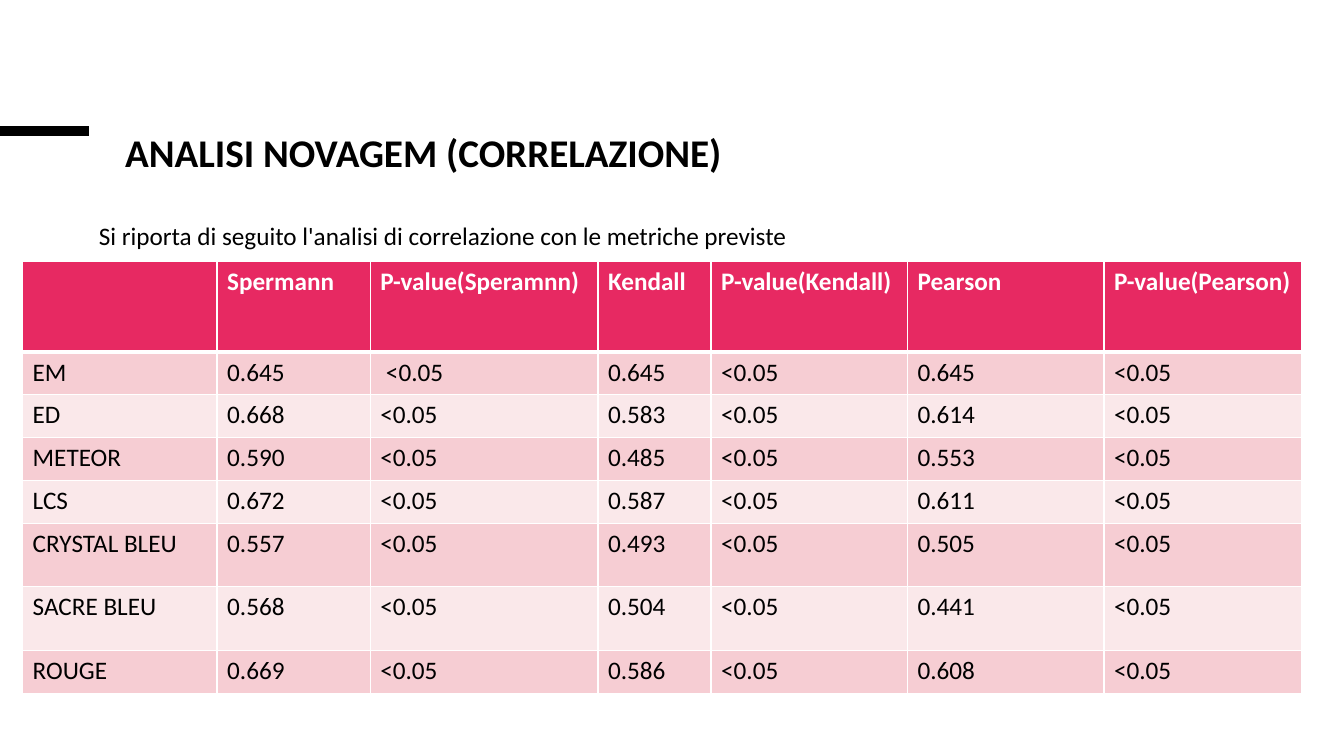
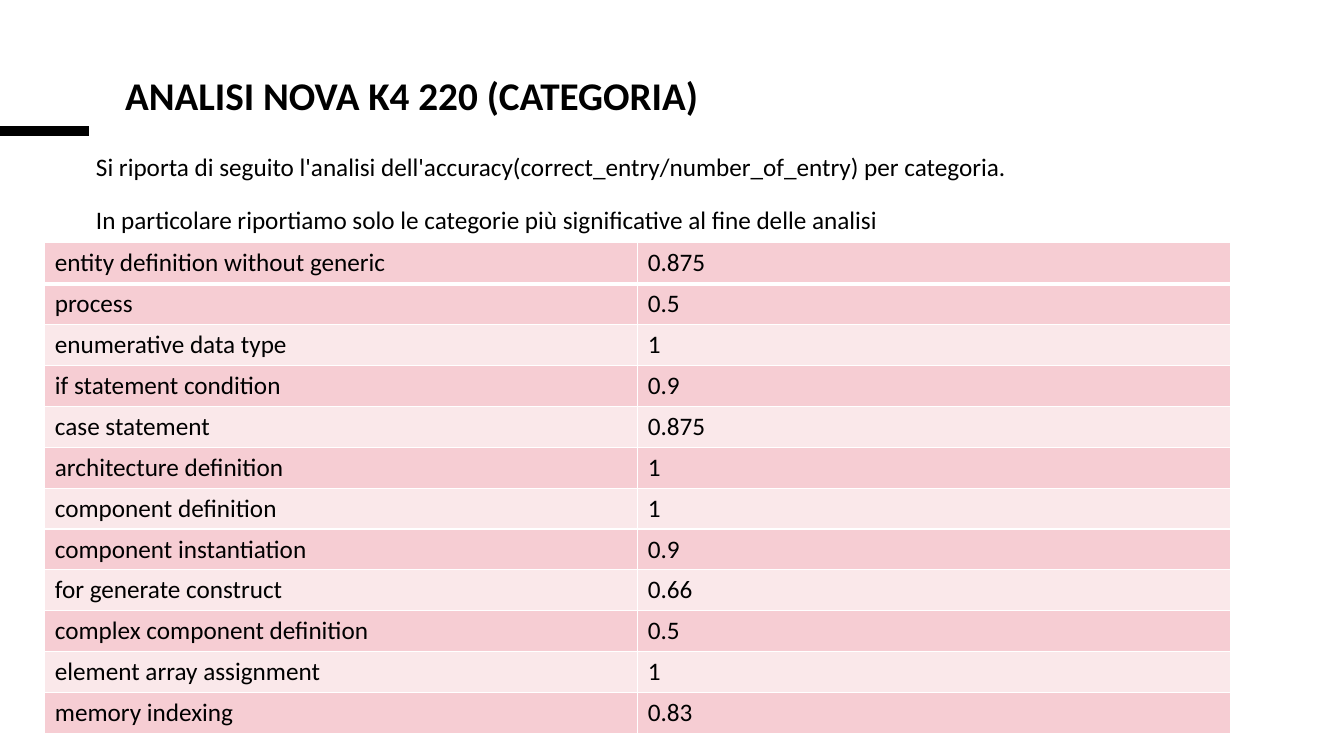
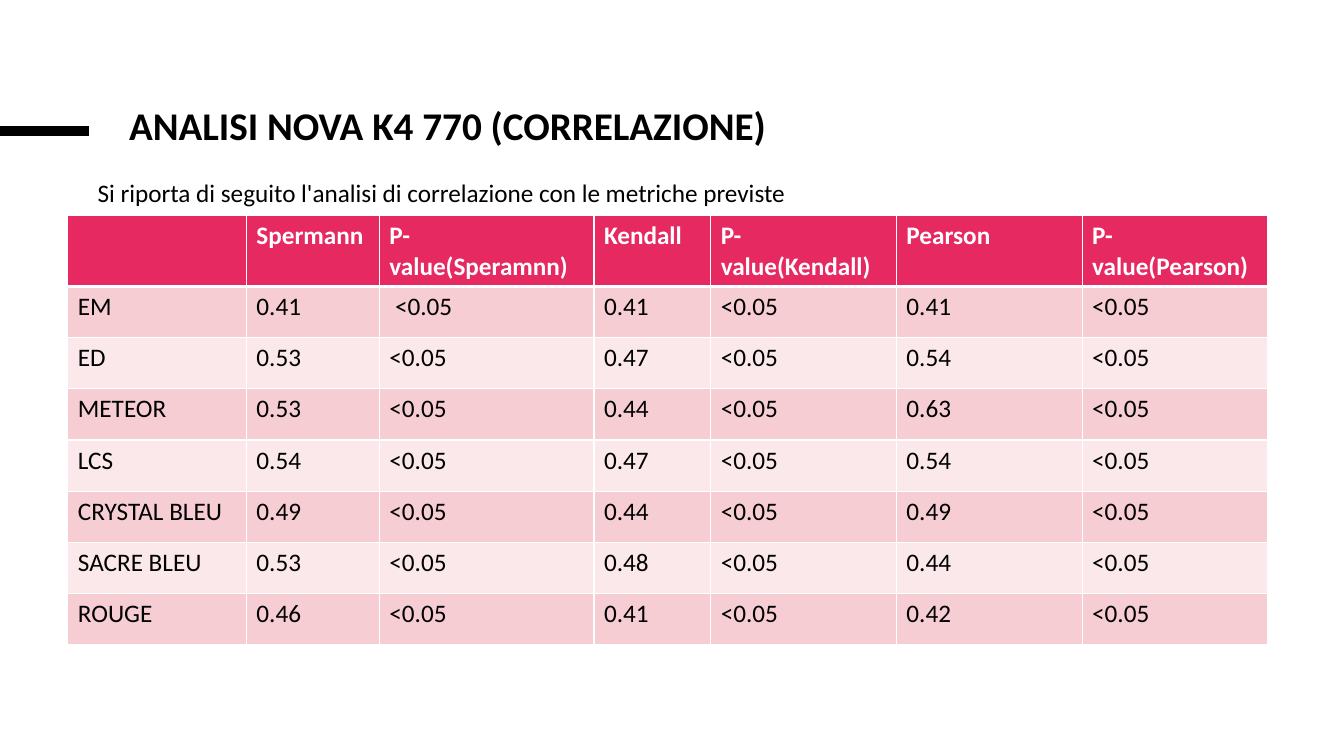
from dataclasses import dataclass

from lxml import etree
from pptx import Presentation
from pptx.dml.color import RGBColor
from pptx.enum.shapes import MSO_CONNECTOR
from pptx.enum.text import MSO_ANCHOR, MSO_AUTO_SIZE, PP_ALIGN
from pptx.oxml.ns import qn
from pptx.presentation import Presentation as Deck
from pptx.slide import Slide
from pptx.table import _Cell as Cell
from pptx.text.text import _Paragraph as Paragraph
from pptx.util import Cm, Pt

STRAIGHT = MSO_CONNECTOR.STRAIGHT
TOP = MSO_ANCHOR.TOP
LEFT = PP_ALIGN.LEFT
NO_AUTOFIT = MSO_AUTO_SIZE.NONE

BLACK = RGBColor(0x00, 0x00, 0x00)
WHITE = RGBColor(0xFF, 0xFF, 0xFF)
CRIMSON = RGBColor(0xE7, 0x29, 0x62)
ROSE = RGBColor(0xF6, 0xCD, 0xD3)
BLUSH = RGBColor(0xFA, 0xE8, 0xEA)

FONT = "Calibri"
TITLE_SIZE = 28
BODY_SIZE = 18
TITLE_ONLY = 5
THIN_BORDER = 1
THICK_BORDER = 3

CORRELATION_HEADER = [
    "", "Spermann", "P-value(Speramnn)", "Kendall",
    "P-value(Kendall)", "Pearson", "P-value(Pearson)",
]
CORRELATION_INTRO = ["Si riporta di seguito l'analisi di correlazione con le metriche previste"]
SIGNIFICANT = "<0.05"


@dataclass(frozen=True)
class TextArea:
    left: float
    top: float
    width: float
    height: float


@dataclass(frozen=True)
class Grid:
    left: float
    top: float
    columns: list[float]
    heights: list[float]
    rows: list[list[str]]
    has_header: bool


@dataclass(frozen=True)
class AnalysisPage:
    title: str
    title_area: TextArea
    intro: list[str]
    intro_area: TextArea
    grid: Grid


@dataclass(frozen=True)
class Metric:
    name: str
    spearman: str
    kendall: str
    pearson: str


def correlation_rows(metrics: list[Metric]) -> list[list[str]]:
    rows = [CORRELATION_HEADER]
    for index, metric in enumerate(metrics):
        first_p_value = " " + SIGNIFICANT if index == 0 else SIGNIFICANT
        rows.append([
            metric.name, metric.spearman, first_p_value, metric.kendall,
            SIGNIFICANT, metric.pearson, SIGNIFICANT,
        ])
    return rows


def add_span(para: Paragraph, text: str, size: float, color: RGBColor, bold: bool = False) -> None:
    span = para.add_run()
    span.text = text
    span.font.name = FONT
    span.font.size = Pt(size)
    span.font.bold = bold
    span.font.color.rgb = color


def add_accent_line(page: Slide) -> None:
    line = page.shapes.add_connector(STRAIGHT, Cm(0), Cm(3.3), Cm(2.24), Cm(3.3))
    line.line.color.rgb = BLACK
    line.line.width = Pt(6.75)
    etree.SubElement(line._element.spPr, qn("a:effectLst"))


def set_title(page: Slide, text: str, area: TextArea) -> None:
    title = page.shapes.title
    title.left, title.top = Cm(area.left), Cm(area.top)
    title.width, title.height = Cm(area.width), Cm(area.height)
    frame = title.text_frame
    frame.word_wrap = True
    frame.auto_size = NO_AUTOFIT
    frame.vertical_anchor = TOP
    para = frame.paragraphs[0]
    para.alignment = LEFT
    para.line_spacing = 0.85
    add_span(para, text, TITLE_SIZE, BLACK, bold=True)


def add_intro(page: Slide, lines: list[str], area: TextArea) -> None:
    box = page.shapes.add_textbox(Cm(area.left), Cm(area.top), Cm(area.width), Cm(area.height))
    frame = box.text_frame
    frame.word_wrap = True
    for index, text in enumerate(lines):
        para = frame.add_paragraph() if index else frame.paragraphs[0]
        para.line_spacing = 1.3
        para.space_before = Pt(10)
        add_span(para, text, BODY_SIZE, BLACK)


def set_borders(cell: Cell, top: float, bottom: float) -> None:
    properties = cell._tc.get_or_add_tcPr()
    widths = {"a:lnL": THIN_BORDER, "a:lnR": THIN_BORDER, "a:lnT": top, "a:lnB": bottom}
    for position, (tag, width) in enumerate(widths.items()):
        border = etree.Element(qn(tag), w=str(Pt(width)))
        fill = etree.SubElement(border, qn("a:solidFill"))
        etree.SubElement(fill, qn("a:srgbClr"), val=str(WHITE))
        properties.insert(position, border)


def add_grid(page: Slide, grid: Grid) -> None:
    frame = page.shapes.add_table(
        len(grid.rows), len(grid.columns), Cm(grid.left), Cm(grid.top),
        Cm(sum(grid.columns)), Cm(sum(grid.heights)),
    )
    table = frame.table
    table.first_row = grid.has_header
    for column, width in zip(table.columns, grid.columns):
        column.width = Cm(width)
    for row_index, (values, height) in enumerate(zip(grid.rows, grid.heights)):
        table.rows[row_index].height = Cm(height)
        is_header = grid.has_header and row_index == 0
        band = ROSE if row_index == 0 or row_index % 2 else BLUSH
        for column_index, value in enumerate(values):
            cell = table.cell(row_index, column_index)
            cell.fill.solid()
            cell.fill.fore_color.rgb = CRIMSON if is_header else band
            set_borders(
                cell,
                top=THICK_BORDER if row_index == 1 else THIN_BORDER,
                bottom=THICK_BORDER if row_index == 0 else THIN_BORDER,
            )
            if value:
                para = cell.text_frame.paragraphs[0]
                add_span(para, value, BODY_SIZE, WHITE if is_header else BLACK, bold=is_header)


def add_analysis(deck: Deck, analysis: AnalysisPage) -> None:
    page = deck.slides.add_slide(deck.slide_layouts[TITLE_ONLY])
    add_accent_line(page)
    set_title(page, analysis.title, analysis.title_area)
    add_intro(page, analysis.intro, analysis.intro_area)
    add_grid(page, analysis.grid)


FIRST_MODEL_METRICS = [
    Metric("EM", "0.645", "0.645", "0.645"),
    Metric("ED", "0.668", "0.583", "0.614"),
    Metric("METEOR", "0.590", "0.485", "0.553"),
    Metric("LCS", "0.672", "0.587", "0.611"),
    Metric("CRYSTAL BLEU", "0.557", "0.493", "0.505"),
    Metric("SACRE BLEU", "0.568", "0.504", "0.441"),
    Metric("ROUGE", "0.669", "0.586", "0.608"),
]

LARGE_MODEL_METRICS = [
    Metric("EM", "0.41", "0.41", "0.41"),
    Metric("ED", "0.53", "0.47", "0.54"),
    Metric("METEOR", "0.53", "0.44", "0.63"),
    Metric("LCS", "0.54", "0.47", "0.54"),
    Metric("CRYSTAL BLEU", "0.49", "0.44", "0.49"),
    Metric("SACRE BLEU", "0.53", "0.48", "0.44"),
    Metric("ROUGE", "0.46", "0.41", "0.42"),
]

CATEGORY_ROWS = [
    ["entity definition without generic", "0.875"],
    ["process", "0.5"],
    ["enumerative data type", "1"],
    ["if statement condition", "0.9"],
    ["case statement", "0.875"],
    ["architecture definition", "1"],
    ["component definition", "1"],
    ["component instantiation", "0.9"],
    ["for generate construct", "0.66"],
    ["complex component definition", "0.5"],
    ["element array assignment", "1"],
    ["memory indexing", "0.83"],
]

ANALYSES = [
    AnalysisPage(
        title="ANALISI NOVAGEM (CORRELAZIONE)",
        title_area=TextArea(2.9, 3.3, 25.4, 6.53),
        intro=CORRELATION_INTRO,
        intro_area=TextArea(2.24, 5.2, 29.24, 1.35),
        grid=Grid(
            left=0.57, top=6.59,
            columns=[4.9, 3.86, 5.74, 2.85, 4.95, 4.95, 4.98],
            heights=[2.28] + [1.08] * 4 + [1.6] * 2 + [1.08],
            rows=correlation_rows(FIRST_MODEL_METRICS),
            has_header=True,
        ),
    ),
    AnalysisPage(
        title="ANALISI NOVA K4 220 (CATEGORIA)",
        title_area=TextArea(2.9, 1.86, 25.4, 6.53),
        intro=[
            "Si riporta di seguito l'analisi dell'accuracy(correct_entry/number_of_entry) per categoria.",
            "In particolare riportiamo solo le categorie più significative al fine delle analisi",
        ],
        intro_area=TextArea(2.17, 3.45, 28.8, 3.07),
        grid=Grid(
            left=1.13, top=6.12,
            columns=[14.94] * 2,
            heights=[1.03] * len(CATEGORY_ROWS),
            rows=CATEGORY_ROWS,
            has_header=False,
        ),
    ),
    AnalysisPage(
        title="ANALISI NOVA K4 770 (CORRELAZIONE)",
        title_area=TextArea(3, 2.6, 25.4, 6.53),
        intro=CORRELATION_INTRO,
        intro_area=TextArea(2.21, 4.11, 29.24, 1.35),
        grid=Grid(
            left=1.71, top=5.44,
            columns=[4.5, 3.35, 5.41, 2.94] + [4.68] * 3,
            heights=[1.29] * (len(LARGE_MODEL_METRICS) + 1),
            rows=correlation_rows(LARGE_MODEL_METRICS),
            has_header=True,
        ),
    ),
]


def main() -> None:
    deck = Presentation()
    deck.slide_width = Cm(33.87)
    deck.slide_height = Cm(19.05)
    for analysis in ANALYSES:
        add_analysis(deck, analysis)
    deck.save("out.pptx")


if __name__ == "__main__":
    main()
